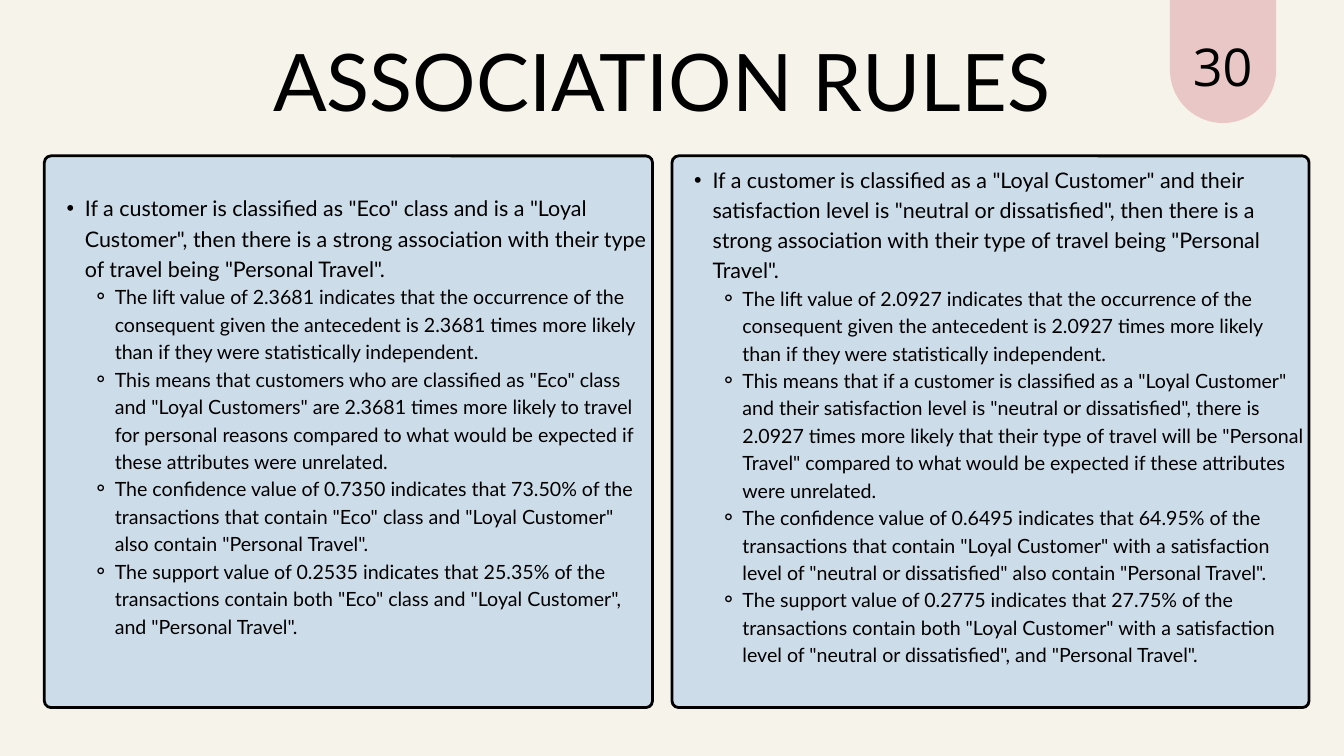
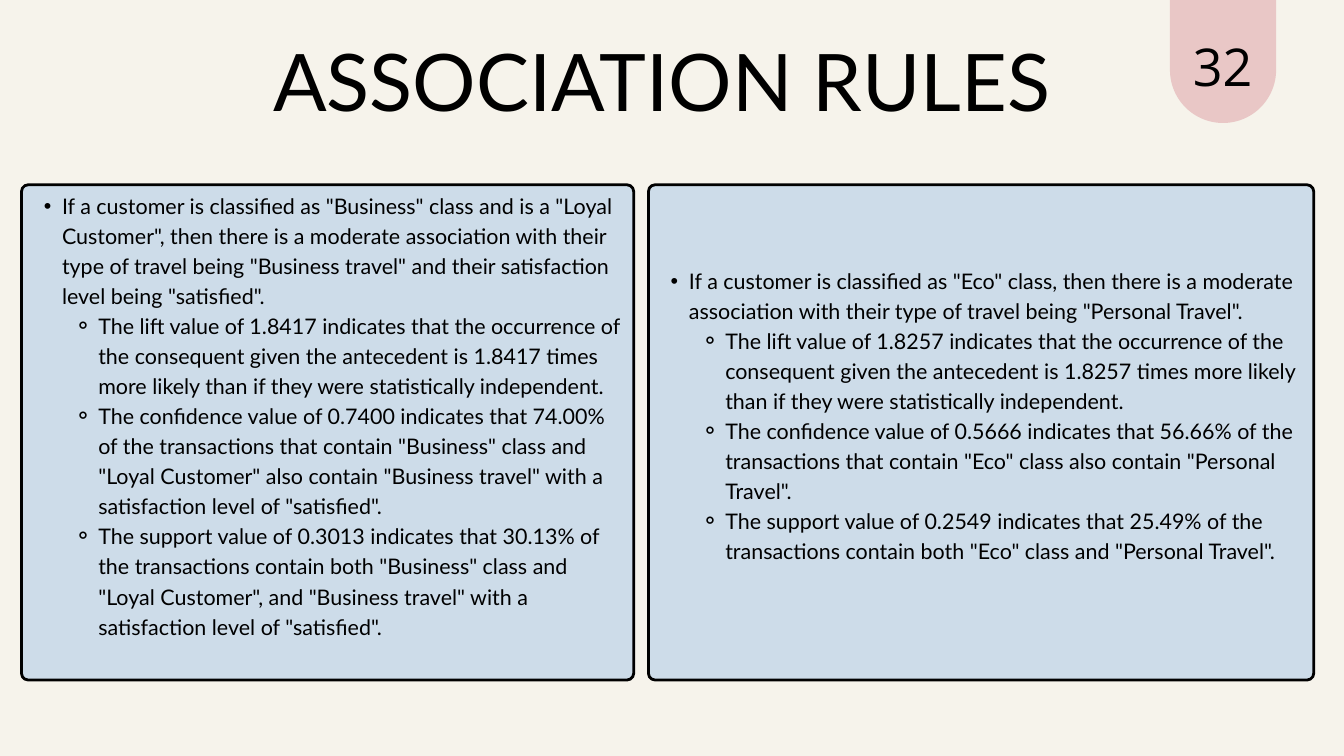
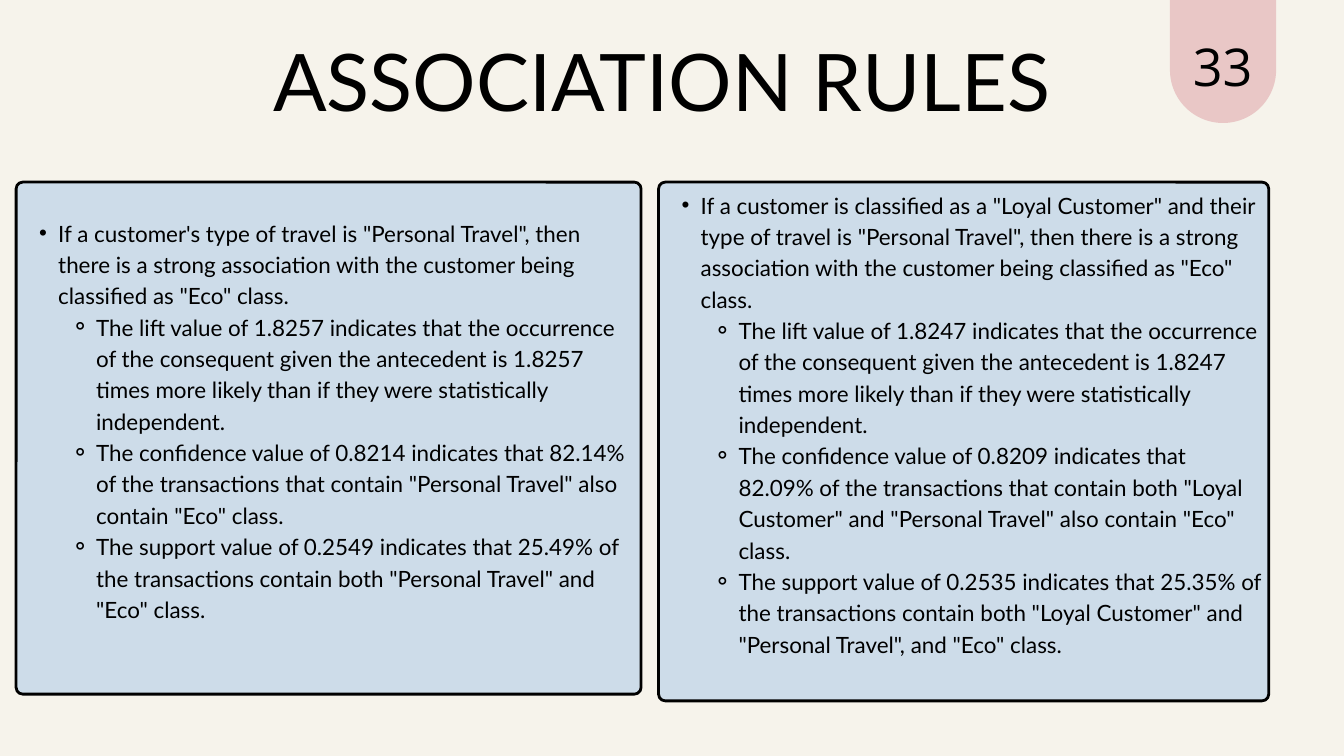
from dataclasses import dataclass
from typing import NamedTuple

from lxml.etree import SubElement
from pptx import Presentation
from pptx.dml.color import RGBColor
from pptx.enum.shapes import MSO_SHAPE
from pptx.enum.text import MSO_ANCHOR, MSO_AUTO_SIZE, PP_ALIGN
from pptx.oxml.ns import qn
from pptx.util import Emu, Inches, Pt


@dataclass(frozen=True)
class Theme:
    paper: RGBColor = RGBColor.from_string("F6F3EB")
    card: RGBColor = RGBColor.from_string("CDDCE9")
    tab: RGBColor = RGBColor.from_string("E9C7C6")
    ink: RGBColor = RGBColor.from_string("000000")
    font: str = "Lato"
    digits: str = "Open Sans"
    title: float = 85
    number: float = 55.8
    border: float = 3
    leading: float = 1.4


class Box(NamedTuple):
    left: float
    top: float
    width: float
    height: float


class Bullet(NamedTuple):
    char: str
    hang: float
    steps: int


@dataclass(frozen=True)
class Card:
    box: Box
    rule: str
    facts: list[str]


@dataclass(frozen=True)
class Page:
    number: int
    head: float
    detail: float
    cards: list[Card]


THEME = Theme()
WIDE, HIGH = Inches(20), Inches(11.25)
TITLE = Box(13.95, 2.13, 72.05, 14.13)
TAB = Box(87.05, 0, 7.9, 16.27)
NUMBER = Box(86.7, 3.2, 8.55, 9.07)
RISE = 0.9
RADIUS = Inches(0.1)
INSET = Inches(0.06)
LEVELS = {1: Bullet("•", 0.85, 2), 2: Bullet("⚬", 1.13, 3)}


def lift(value: str) -> str:
    return (f"The lift value of {value} indicates that the occurrence of the consequent given "
            f"the antecedent is {value} times more likely than if they were statistically independent.")


def trust(value: float, given: str, then: str) -> str:
    return (f"The confidence value of {value:.4f} indicates that {value:.2%} of the transactions "
            f"that contain {given} also contain {then}.")


def support(value: float, items: str) -> str:
    return (f"The support value of {value:.4f} indicates that {value:.2%} of the transactions "
            f"contain both {items}.")


PAGES = [
    Page(30, 23, 21, [
        Card(Box(3.3, 20.62, 45.25, 72.98),
             'If a customer is classified as "Eco" class and is a "Loyal Customer", then there is '
             'a strong association with their type of travel being "Personal Travel".',
             [lift("2.3681"),
              'This means that customers who are classified as "Eco" class and "Loyal Customers" '
              'are 2.3681 times more likely to travel for personal reasons compared to what would '
              'be expected if these attributes were unrelated.',
              trust(0.7350, '"Eco" class and "Loyal Customer"', '"Personal Travel"'),
              support(0.2535, '"Eco" class and "Loyal Customer", and "Personal Travel"')]),
        Card(Box(50, 20.62, 47.4, 72.98),
             'If a customer is classified as a "Loyal Customer" and their satisfaction level is '
             '"neutral or dissatisfied", then there is a strong association with their type of '
             'travel being "Personal Travel".',
             [lift("2.0927"),
              'This means that if a customer is classified as a "Loyal Customer" and their '
              'satisfaction level is "neutral or dissatisfied", there is 2.0927 times more likely '
              'that their type of travel will be "Personal Travel" compared to what would be '
              'expected if these attributes were unrelated.',
              trust(0.6495, '"Loyal Customer" with a satisfaction level of "neutral or dissatisfied"',
                    '"Personal Travel"'),
              support(0.2775, '"Loyal Customer" with a satisfaction level of '
                              '"neutral or dissatisfied", and "Personal Travel"')]),
    ]),
    Page(32, 23, 23, [
        Card(Box(1.6, 24.44, 45.55, 65.51),
             'If a customer is classified as "Business" class and is a "Loyal Customer", then '
             'there is a moderate association with their type of travel being "Business travel" '
             'and their satisfaction level being "satisfied".',
             [lift("1.8417"),
              trust(0.7400, '"Business" class and "Loyal Customer"',
                    '"Business travel" with a satisfaction level of "satisfied"'),
              support(0.3013, '"Business" class and "Loyal Customer", and "Business travel" '
                              'with a satisfaction level of "satisfied"')]),
        Card(Box(48.25, 24.44, 49.5, 65.51),
             'If a customer is classified as "Eco" class, then there is a moderate association '
             'with their type of travel being "Personal Travel".',
             [lift("1.8257"),
              trust(0.5666, '"Eco" class', '"Personal Travel"'),
              support(0.2549, '"Eco" class and "Personal Travel"')]),
    ]),
    Page(33, 24, 24, [
        Card(Box(1.2, 24.09, 46.5, 67.73),
             'If a customer\'s type of travel is "Personal Travel", then there is a strong '
             'association with the customer being classified as "Eco" class.',
             [lift("1.8257"),
              trust(0.8214, '"Personal Travel"', '"Eco" class'),
              support(0.2549, '"Personal Travel" and "Eco" class')]),
        Card(Box(49, 24.09, 45.4, 68.62),
             'If a customer is classified as a "Loyal Customer" and their type of travel is '
             '"Personal Travel", then there is a strong association with the customer being '
             'classified as "Eco" class.',
             [lift("1.8247"),
              trust(0.8209, 'both "Loyal Customer" and "Personal Travel"', '"Eco" class'),
              support(0.2535, '"Loyal Customer" and "Personal Travel", and "Eco" class')]),
    ]),
]


def scale(box: Box) -> list[Emu]:
    return [Emu(round(share * side / 100)) for share, side in zip(box, (WIDE, HIGH, WIDE, HIGH))]


def place(shape, box: Box) -> None:
    shape.left, shape.top, shape.width, shape.height = scale(box)


def frame(shape, anchor: MSO_ANCHOR, inset: int = 0, foot: int = 0):
    text = shape.text_frame
    text.word_wrap = True
    text.auto_size = MSO_AUTO_SIZE.NONE
    text.vertical_anchor = anchor
    text.margin_left = text.margin_right = text.margin_top = inset
    text.margin_bottom = inset + foot
    return text


def style(para, size: float, font: str, align: PP_ALIGN) -> None:
    para.alignment = align
    para.line_spacing = Pt(size * THEME.leading)
    para.space_before = para.space_after = Pt(0)
    para.font.size = Pt(size)
    para.font.name = font
    para.font.color.rgb = THEME.ink


def label(shape, text: str, size: float, font: str) -> None:
    para = frame(shape, MSO_ANCHOR.TOP).paragraphs[0]
    para.text = text
    style(para, size, font, PP_ALIGN.CENTER)


def item(para, text: str, level: int, size: float) -> None:
    mark = LEVELS[level]
    hang = Pt(size * mark.hang)
    para.text = text
    para.level = level
    props = para._p.get_or_add_pPr()
    props.set("marL", str(hang * mark.steps))
    props.set("indent", str(-hang))
    SubElement(props, qn("a:buFont"), typeface="Arial")
    SubElement(props, qn("a:buChar"), char=mark.char)
    style(para, size, THEME.font, PP_ALIGN.LEFT)


def block(slide, kind: MSO_SHAPE, box: Box, fill: RGBColor):
    shape = slide.shapes.add_shape(kind, *scale(box))
    shape.shadow.inherit = False
    shape.fill.solid()
    shape.fill.fore_color.rgb = fill
    shape.line.fill.background()
    return shape


def panel(slide, body, card: Card, page: Page) -> None:
    back = block(slide, MSO_SHAPE.ROUNDED_RECTANGLE, card.box, THEME.card)
    back.adjustments[0] = RADIUS / min(back.width, back.height)
    back.line.color.rgb = THEME.ink
    back.line.width = Pt(THEME.border)
    back._element.addnext(body._element)
    left, top, width, height = card.box
    place(body, Box(left, top - RISE, width, height + RISE))
    text = frame(body, MSO_ANCHOR.MIDDLE, INSET, Pt(page.detail * THEME.leading))
    item(text.paragraphs[0], card.rule, 1, page.head)
    for fact in card.facts:
        item(text.add_paragraph(), fact, 2, page.detail)


def badge(slide, number: int) -> None:
    tab = block(slide, MSO_SHAPE.ROUND_2_SAME_RECTANGLE, TAB, THEME.tab)
    tab.adjustments[0], tab.adjustments[1] = 0, 0.5
    label(slide.shapes.add_textbox(*scale(NUMBER)), str(number), THEME.number, THEME.digits)


def draw(deck, page: Page) -> None:
    slide = deck.slides.add_slide(deck.slide_layouts.get_by_name("Two Content"))
    title, *bodies = slide.placeholders
    place(title, TITLE)
    label(title, "ASSOCIATION RULES ", THEME.title, THEME.font)
    for body, card in zip(bodies, page.cards):
        panel(slide, body, card, page)
    badge(slide, page.number)


def main() -> None:
    deck = Presentation()
    deck.slide_width, deck.slide_height = WIDE, HIGH
    paper = deck.slide_master.background.fill
    paper.solid()
    paper.fore_color.rgb = THEME.paper
    for page in PAGES:
        draw(deck, page)
    deck.save("out.pptx")


if __name__ == "__main__":
    main()
